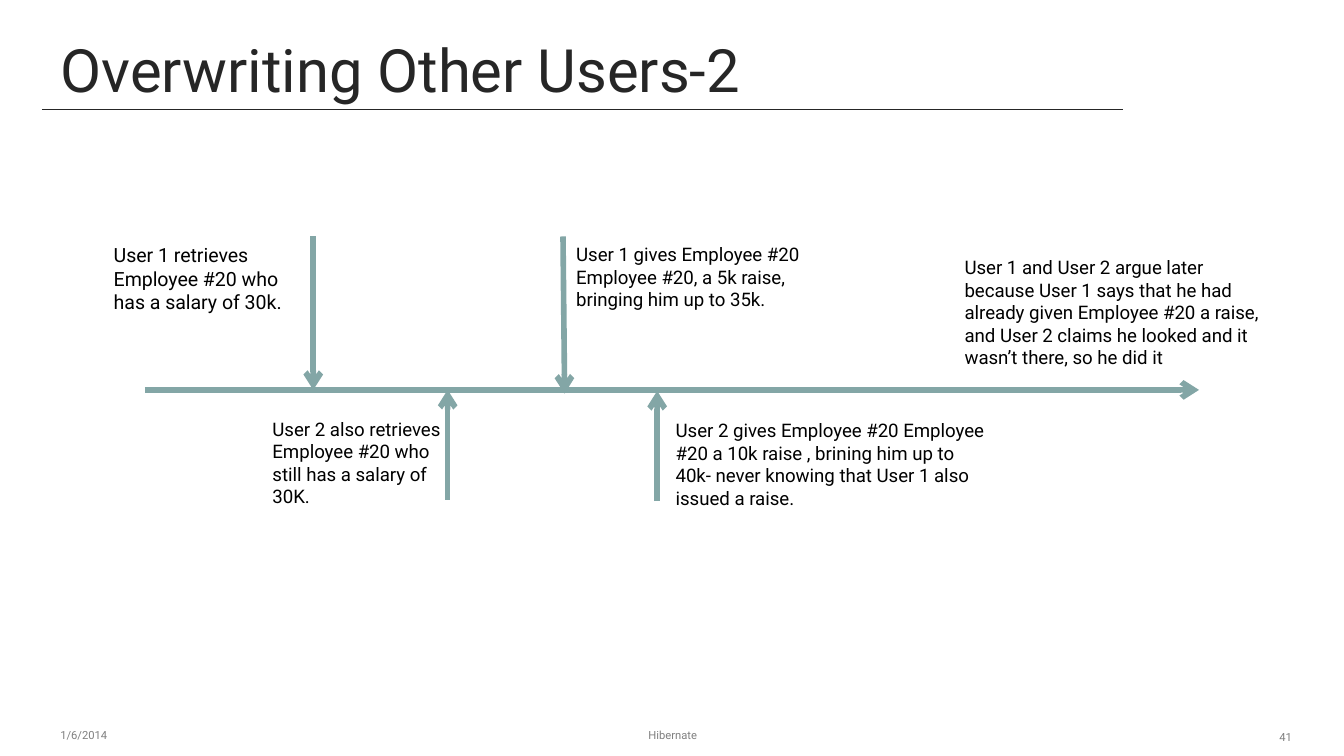
from pptx import Presentation
from pptx.util import Cm, Pt
from pptx.dml.color import RGBColor
from pptx.enum.shapes import MSO_CONNECTOR
from pptx.enum.text import MSO_ANCHOR, MSO_AUTO_SIZE, PP_ALIGN
from pptx.oxml.ns import qn
from lxml.etree import SubElement

THEME = {
    "font": "Roboto",
    "ink": RGBColor(0x26, 0x26, 0x26),
    "text": RGBColor(0, 0, 0),
    "muted": RGBColor(0x80, 0x80, 0x80),
    "teal": RGBColor(0x83, 0xA6, 0xA6),
    "title_size": 32,
    "event_size": 10,
    "first_event_size": 10.5,
    "footer_size": 6,
}


def write(box, text, size, color, align=PP_ALIGN.LEFT, **frame_format):
    """Fill a shape with one formatted paragraph."""
    frame = box.text_frame
    frame.text = text
    frame_values = {"word_wrap": True, "auto_size": MSO_AUTO_SIZE.NONE, **frame_format}
    for name, value in frame_values.items():
        setattr(frame, name, value)
    para = frame.paragraphs[0]
    para.alignment = align
    span = para.runs[0]
    for name, value in {"name": THEME["font"], "size": Pt(size), "bold": False}.items():
        setattr(span.font, name, value)
    span.font.color.rgb = color


def draw_line(start, end, color, width, arrow=False):
    line = page.shapes.add_connector(
        MSO_CONNECTOR.STRAIGHT, *[Cm(value) for value in (*start, *end)])
    line.line.color.rgb = color
    line.line.width = Pt(width)
    if arrow:
        SubElement(line.line._get_or_add_ln(), qn("a:tailEnd"), type="arrow")
    SubElement(line._element.spPr, qn("a:effectLst"))


deck = Presentation()
deck.slide_width, deck.slide_height = Cm(25.4), Cm(14.29)
page = deck.slides.add_slide(deck.slide_layouts[5])
page.background.fill.solid()
page.background.fill.fore_color.rgb = RGBColor(0xFF, 0xFF, 0xFF)

# Title and the rule below it
title = page.shapes.title
for name, value in {"left": 0.89, "top": 0.53, "width": 22.6, "height": 1.52}.items():
    setattr(title, name, Cm(value))
write(title, "Overwriting Other Users-2", THEME["title_size"], THEME["ink"],
      vertical_anchor=MSO_ANCHOR.BOTTOM, margin_bottom=Cm(0.08))
draw_line((0.79, 2.06), (21.23, 2.06), THEME["ink"], 0.5)

# Footer
footers = [
    ("1/6/2014", 0.89, 13.51, 5.92, 0.76, PP_ALIGN.LEFT),
    ("Hibernate", 8.69, 13.51, 8.05, 0.76, PP_ALIGN.CENTER),
    ("41", 18.75, 13.59, 5.92, 0.69, PP_ALIGN.RIGHT),
]
for text, left, top, width, height, align in footers:
    box = page.shapes.add_textbox(Cm(left), Cm(top), Cm(width), Cm(height))
    write(box, text, THEME["footer_size"], THEME["muted"], align,
          vertical_anchor=MSO_ANCHOR.MIDDLE)

# Time axis, with arrows from above (User 1) and below (User 2)
axis_y = 7.37
arrows = [
    ((2.74, axis_y), (22.66, axis_y)),
    ((5.92, 4.47), (5.92, axis_y)),
    ((10.64, 4.47), (10.67, 7.44)),
    ((8.46, 9.45), (8.46, axis_y)),
    ((12.42, 9.47), (12.42, 7.39)),
]
for start, end in arrows:
    draw_line(start, end, THEME["teal"], 3, arrow=True)

# Events
events = [
    (1.9, 4.47, 4.01, 1.6, THEME["first_event_size"],
     "User 1 retrieves Employee #20 who has a salary of 30k."),
    (10.64, 4.47, 5.08, 1.55, THEME["event_size"],
     "User 1 gives Employee #20 Employee #20, a 5k raise, bringing him up to 35k."),
    (4.9, 7.77, 3.96, 1.96, THEME["event_size"],
     "User 2 also retrieves Employee #20 who still has a salary of 30K."),
    (12.52, 7.8, 6.35, 1.96, THEME["event_size"],
     "User 2 gives Employee #20 Employee #20 a 10k raise , brining him up to 40k- "
     "never knowing that User 1 also issued a raise."),
    (17.98, 4.72, 6.35, 2.39, THEME["event_size"],
     "User 1 and User 2 argue later because User 1 says that he had already given "
     "Employee #20 a raise, and User 2 claims he looked and it wasn’t there, so he did it"),
]
for left, top, width, height, size, text in events:
    box = page.shapes.add_textbox(Cm(left), Cm(top), Cm(width), Cm(height))
    write(box, text, size, THEME["text"], auto_size=MSO_AUTO_SIZE.SHAPE_TO_FIT_TEXT)

deck.save("out.pptx")
